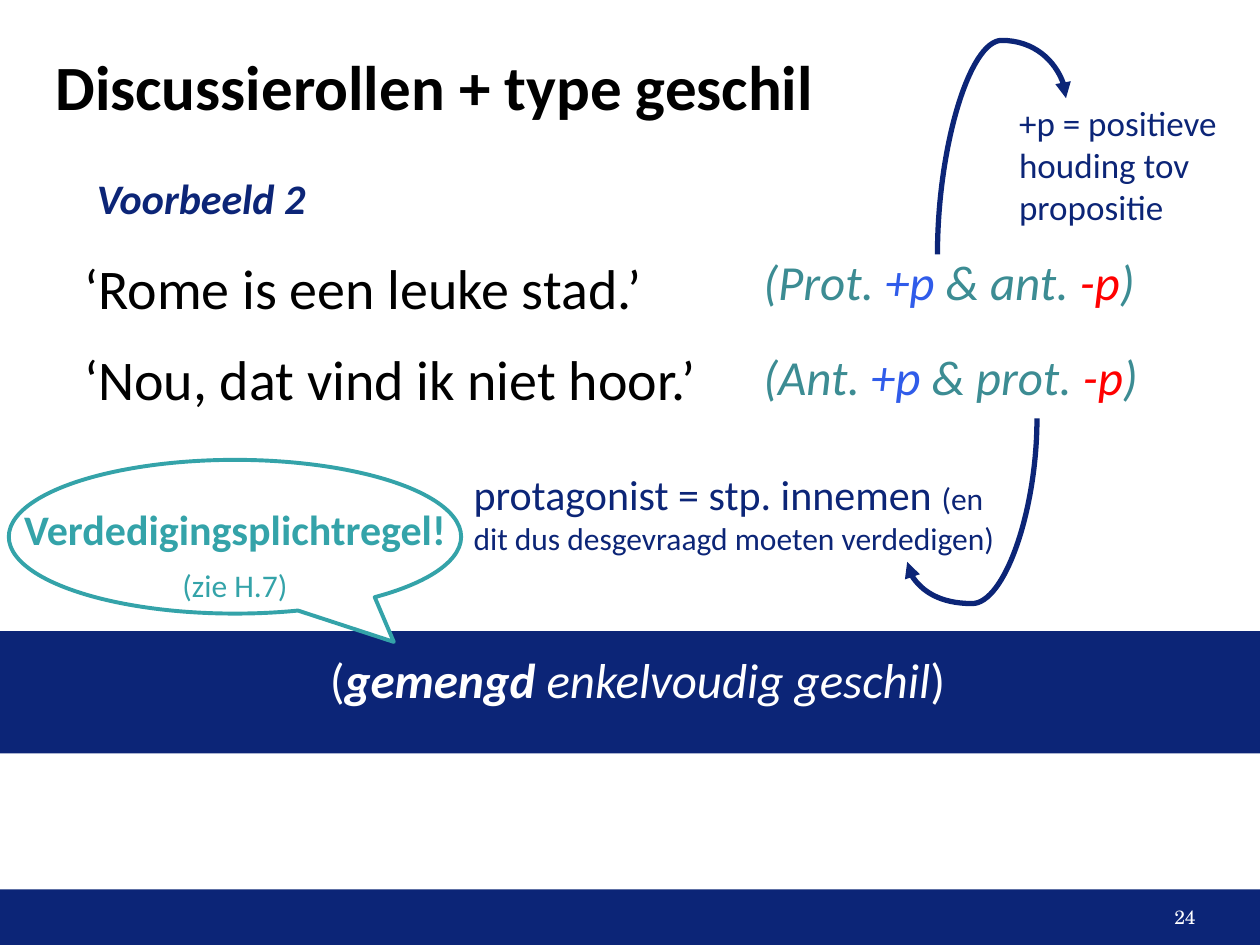
from lxml import etree
from pptx import Presentation
from pptx import util as u
from pptx.dml.color import RGBColor
from pptx.enum import shapes, text
from pptx.oxml.ns import qn

Inches, Pt = u.Inches, u.Pt
COLORS = {"navy": "0C2577", "teal": "34A3A9", "role": "3C8C93", "plus": "305CEA",
          "minus": "FF0000", "black": "000000", "white": "FFFFFF"}
FONT = "Calibri"
NUMBER_FONT = "TeX Gyre Schola"


def rgb(name):
    return RGBColor.from_string(COLORS[name])


def add_words(paragraph, words, size, color, bold=False, italic=False, font=FONT):
    run = paragraph.add_run()
    run.text = words
    run.font.name, run.font.size = font, Pt(size)
    run.font.bold, run.font.italic = bold, italic
    run.font.color.rgb = rgb(color)


def add_frame(slide, box, inset=True, wrap=True):
    """Add a text box and return its text frame."""
    frame = slide.shapes.add_textbox(*map(Inches, box)).text_frame
    frame.word_wrap = wrap
    if not inset:
        frame.margin_left = frame.margin_right = 0
        frame.margin_top = frame.margin_bottom = 0
    return frame


def add_block(slide, shape_type, box, fill):
    block = slide.shapes.add_shape(shape_type, *map(Inches, box))
    block.shadow.inherit = False
    block.fill.solid()
    block.fill.fore_color.rgb = rgb(fill)
    block.line.fill.background()
    return block


def add_curved_arrow(slide, start, end, bulge):
    """Curve that leaves and arrives vertically: a connector turned by 90 degrees."""
    (x1, y1), (x2, y2) = start, end
    mid_x, mid_y = (x1 + x2) / 2, (y1 + y2) / 2
    half_w, half_h = (y1 - y2) / 2, (x2 - x1) / 2
    arrow = slide.shapes.add_connector(
        shapes.MSO_CONNECTOR.CURVE,
        Inches(mid_x + half_w), Inches(mid_y + half_h),
        Inches(mid_x - half_w), Inches(mid_y - half_h))
    arrow.line.color.rgb = rgb("navy")
    arrow.line.width = Pt(3)
    properties = arrow._element.spPr
    properties.find(qn("a:xfrm")).set("rot", "5400000")
    guides = properties.find(qn("a:prstGeom")).find(qn("a:avLst"))
    etree.SubElement(guides, qn("a:gd"), name="adj1", fmla=f"val {round(bulge * 100000)}")
    etree.SubElement(properties.find(qn("a:ln")), qn("a:tailEnd"), type="triangle")
    etree.SubElement(properties, qn("a:effectLst"))


def add_footer(slide, box):
    left, top, width, height = box
    add_block(slide, shapes.MSO_SHAPE.RECTANGLE, box, "navy")
    frame = add_frame(slide, (left + width - 2.69, top, 2.25, height))
    frame.margin_left = frame.margin_right = Inches(0.07)
    frame.vertical_anchor = text.MSO_ANCHOR.MIDDLE
    number = frame.paragraphs[0]
    number.alignment = text.PP_ALIGN.RIGHT
    add_words(number, "24", 11, "white", font=NUMBER_FONT)


def add_conclusion(slide, box):
    band = add_block(slide, shapes.MSO_SHAPE.RECTANGLE, box, "navy")
    band.text_frame.vertical_anchor = text.MSO_ANCHOR.TOP
    verdict = band.text_frame.paragraphs[0]
    verdict.alignment = text.PP_ALIGN.CENTER
    verdict.line_spacing = 1.2
    add_words(verdict, "(", 28, "white")
    add_words(verdict, "gemengd", 28, "white", bold=True, italic=True)
    add_words(verdict, " enkelvoudig geschil", 28, "white", italic=True)
    add_words(verdict, ")", 28, "white")


def add_rule_callout(slide, box):
    left, top, width, height = box
    balloon = add_block(slide, shapes.MSO_SHAPE.OVAL_CALLOUT, box, "white")
    balloon.adjustments[0], balloon.adjustments[1] = 0.351, 0.684
    balloon.line.color.rgb = rgb("teal")
    balloon.line.width = Pt(2.25)
    frame = add_frame(slide, (left, top + 0.3, width, 0.87))
    rule, chapter = frame.paragraphs[0], frame.add_paragraph()
    rule.alignment = chapter.alignment = text.PP_ALIGN.CENTER
    chapter.space_before = Pt(6.5)
    add_words(rule, "Verdedigingsplichtregel!", 24, "teal", bold=True)
    add_words(chapter, "(zie H.7)", 18, "teal")


def add_heading(slide, box):
    left, top, width, height = box
    title = add_frame(slide, box, inset=False)
    title.vertical_anchor = text.MSO_ANCHOR.MIDDLE
    add_words(title.paragraphs[0], "Discussierollen + type geschil", 36, "black", bold=True)
    example = add_frame(slide, (left + 0.23, top + 0.88, 3.07, 0.47))
    add_words(example.paragraphs[0], "Voorbeeld 2", 24, "navy", bold=True, italic=True)


def add_dialogue(slide, box):
    frame = add_frame(slide, box, inset=False, wrap=False)
    claim, reply = frame.paragraphs[0], frame.add_paragraph()
    claim.line_spacing = reply.line_spacing = 0.9
    claim.space_after = Pt(17.5)
    add_words(claim, "‘Rome is een leuke stad.’", 32, "black")
    add_words(reply, "‘Nou, dat vind ik niet hoor.’", 32, "black")


def add_roles(slide, box):
    frame = add_frame(slide, box)
    first, second = frame.paragraphs[0], frame.add_paragraph()
    second.space_before = Pt(20.5)
    for line, speaker, plus, other in (
            (first, "(Prot. ", "+p ", "& ant. "),
            (second, "(Ant. ", "+p", " & prot. ")):
        for words, color in ((speaker, "role"), (plus, "plus"), (other, "role"),
                             ("-p", "minus"), (")", "role")):
            add_words(line, words, 28, color, italic=True)


def add_note(slide, box, parts):
    """Add a navy explanation made of (words, size) parts."""
    note = add_frame(slide, box).paragraphs[0]
    for words, size in parts:
        add_words(note, words, size, "navy")


def main():
    deck = Presentation()
    deck.slide_width, deck.slide_height = Inches(10), Inches(7.5)
    slide = deck.slides.add_slide(deck.slide_layouts[6])

    add_footer(slide, (0, 7.06, 10, 0.44))
    add_conclusion(slide, (0, 5.01, 10.12, 0.97))
    add_rule_callout(slide, (0.07, 3.65, 3.59, 1.22))
    add_heading(slide, (0.44, 0.44, 9.11, 0.47))
    add_dialogue(slide, (0.67, 2.07, 5, 1.25))
    add_curved_arrow(slide, (7.44, 2.02), (8.46, 0.78), 1.37)
    add_note(slide, (3.66, 3.67, 4.55, 0.87),
             [("protagonist = stp. innemen ", 24),
              ("(en dit dus desgevraagd moeten verdedigen)", 18)])
    add_note(slide, (7.99, 0.76, 2, 1.1), [("+p = positieve houding tov propositie", 20)])
    add_curved_arrow(slide, (8.23, 3.32), (7.2, 4.46), 1.29)
    add_roles(slide, (5.96, 1.95, 3.78, 1.35))
    deck.save("out.pptx")


if __name__ == "__main__":
    main()
